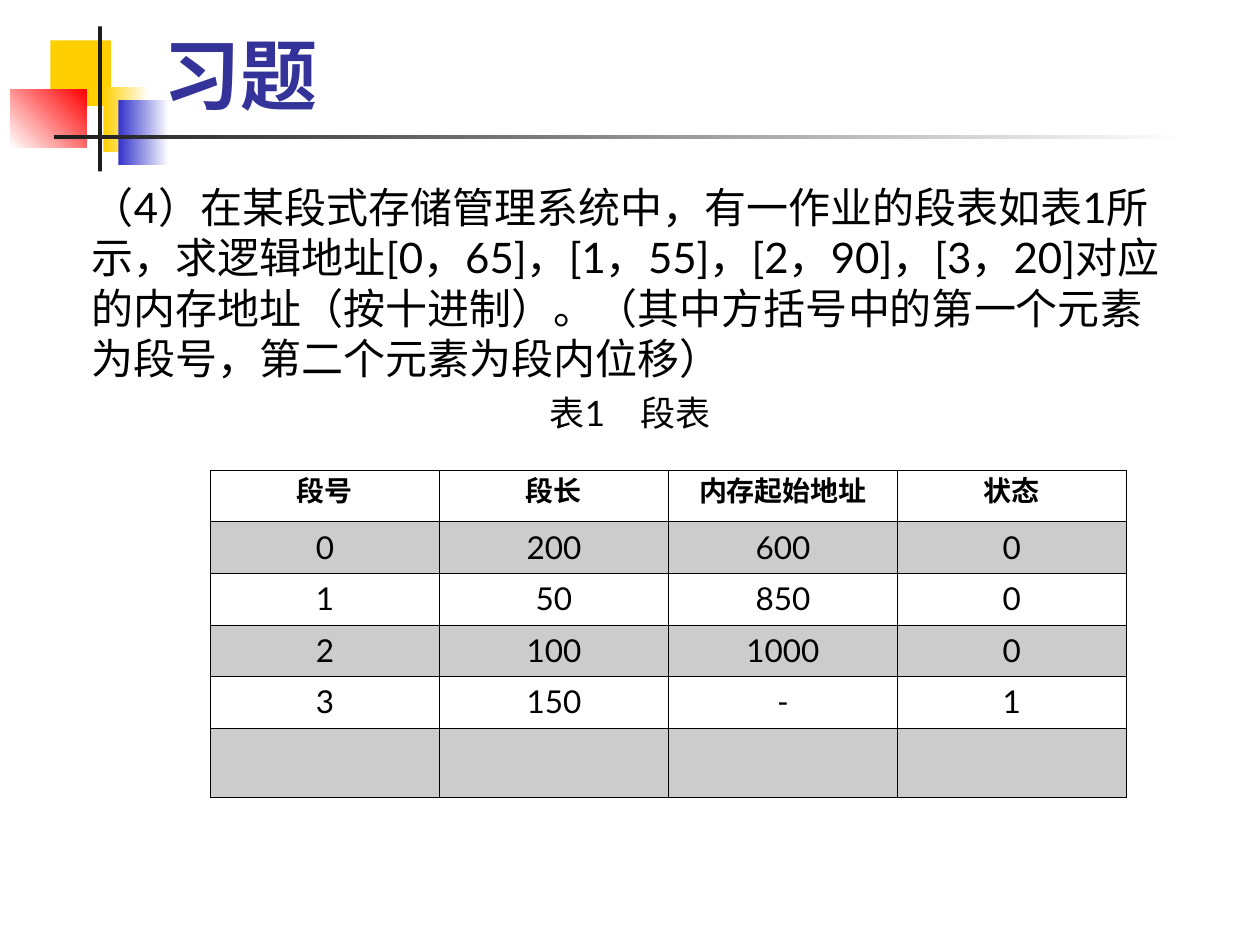
from dataclasses import dataclass
from typing import NamedTuple

from lxml.etree import SubElement
from pptx import Presentation
from pptx.dml.color import RGBColor
from pptx.enum.shapes import MSO_SHAPE
from pptx.enum.text import MSO_ANCHOR, MSO_AUTO_SIZE, PP_ALIGN
from pptx.oxml.ns import qn
from pptx.util import Inches, Pt


@dataclass(frozen=True)
class Theme:
    """Colours, fonts and type sizes of the slide."""

    gold: str = "FFCF01"
    blue: str = "3333CC"
    navy: str = "333399"
    red: str = "FF0000"
    dark: str = "1C1C1C"
    black: str = "000000"
    white: str = "FFFFFF"
    shade: int = 20
    sans: str = "Lato"
    serif: str = "Times New Roman"
    title: int = 44
    body: int = 24
    label: int = 20
    head: int = 16
    cell: int = 18
    rule: float = 0.45
    thick: float = 0.96


class Block(NamedTuple):
    """A decor block, plain or with a fade to a second colour."""

    left: float
    top: float
    width: float
    height: float
    start: str
    end: str = ""
    angle: int = 0


THEME = Theme()
BLOCKS = [
    Block(0.4, 0.32, 0.48, 0.52, THEME.gold),
    Block(0.82, 0.69, 0.36, 0.52, THEME.gold, THEME.white),
    Block(0.94, 0.79, 0.4, 0.52, THEME.blue, THEME.white),
    Block(0.08, 0.71, 0.61, 0.46, THEME.white, THEME.red, 45),
    Block(0.78, 0.21, 0.03, 1.15, THEME.dark),
    Block(0.43, 1.07, 9, 0.03, THEME.dark, THEME.white),
]
TASK = (
    "（4）在某段式存储管理系统中，有一作业的段表如表1所示，"
    "求逻辑地址[0，65]，[1，55]，[2，90]，[3，20]对应的内存地址（按十进制）。"
    "（其中方括号中的第一个元素为段号，第二个元素为段内位移）"
)
ROWS = [
    ("段号", "段长", "内存起始地址", "状态"),
    ("0", "200", "600", "0"),
    ("1", "50", "850", "0"),
    ("2", "100", "1000", "0"),
    ("3", "150", "-", "1"),
    ("", "", "", ""),
]


def place(shape, left: float, top: float, width: float, height: float) -> None:
    """Move and size a shape in inches."""
    shape.left, shape.top = Inches(left), Inches(top)
    shape.width, shape.height = Inches(width), Inches(height)


def style(para, size: int, tint: str, align, face: str = THEME.sans, bold: bool = False) -> None:
    """Format a paragraph and its runs."""
    para.alignment = align
    for run in para.runs:
        run.font.size, run.font.name, run.font.bold = Pt(size), face, bold
        run.font.color.rgb = RGBColor.from_string(tint)


def draw_block(slide, block: Block) -> None:
    """Draw one decor block."""
    shape = slide.shapes.add_shape(MSO_SHAPE.RECTANGLE, 0, 0, 0, 0)
    place(shape, *block[:4])
    shape.shadow.inherit = False
    shape.line.fill.background()
    if block.end:
        shape.fill.gradient()
        shape.fill.gradient_angle = block.angle
        for stop, tint in zip(shape.fill.gradient_stops, (block.start, block.end)):
            stop.color.rgb = RGBColor.from_string(tint)
    else:
        shape.fill.solid()
        shape.fill.fore_color.rgb = RGBColor.from_string(block.start)


def draw_title(slide) -> None:
    """Fill the title."""
    title = slide.shapes.title
    place(title, 1.2, 0.17, 8.52, 0.83)
    frame = title.text_frame
    frame.text = "习题"
    frame.auto_size = MSO_AUTO_SIZE.NONE
    frame.vertical_anchor = MSO_ANCHOR.BOTTOM
    style(frame.paragraphs[0], THEME.title, THEME.navy, PP_ALIGN.LEFT, bold=True)


def draw_body(slide) -> None:
    """Fill the body with the task and the table label."""
    body = slide.placeholders[1]
    place(body, 0.63, 1.39, 8.74, 5.95)
    frame = body.text_frame
    frame.auto_size = MSO_AUTO_SIZE.NONE
    task, label = frame.paragraphs[0], frame.add_paragraph()
    task.text, label.text = TASK, "表1　段表"
    for para in (task, label):
        props = para._p.get_or_add_pPr()
        props.set("marL", "0")
        props.set("indent", "0")
        SubElement(props, qn("a:buNone"))
    task.space_before, label.space_before = Pt(0), Pt(5)
    style(task, THEME.body, THEME.black, PP_ALIGN.LEFT)
    style(label, THEME.label, THEME.black, PP_ALIGN.CENTER)


def edge(cell, side: str, width: float) -> None:
    """Draw one border of a cell."""
    line = SubElement(cell._tc.get_or_add_tcPr(), qn(f"a:ln{side}"), w=str(Pt(width)))
    fill = SubElement(line, qn("a:solidFill"))
    SubElement(fill, qn("a:srgbClr"), val=THEME.black)


def draw_cell(cell, text: str, row: int) -> None:
    """Fill one cell by the rule of its row."""
    for side in "LRTB":
        thick = (row, side) in ((0, "B"), (1, "T"))
        edge(cell, side, THEME.thick if thick else THEME.rule)
    if row % 2:
        cell.fill.solid()
        cell.fill.fore_color.rgb = RGBColor.from_string(THEME.black)
        tint = cell._tc.tcPr.find(qn("a:solidFill")).find(qn("a:srgbClr"))
        SubElement(tint, qn("a:alpha"), val=str(THEME.shade * 1000))
    else:
        cell.fill.background()
    cell.text = text
    para = cell.text_frame.paragraphs[0]
    if row:
        style(para, THEME.cell, THEME.black, PP_ALIGN.CENTER)
    else:
        cell.vertical_anchor = MSO_ANCHOR.MIDDLE
        cell.margin_left = cell.margin_right = Inches(0.08)
        para.line_spacing = Pt(15.6)
        style(para, THEME.head, THEME.black, PP_ALIGN.CENTER, THEME.serif, True)


def draw_table(slide) -> None:
    """Draw the segment table."""
    frame = slide.shapes.add_table(
        len(ROWS), len(ROWS[0]), Inches(1.67), Inches(3.73), Inches(7.27), Inches(2.6)
    )
    table = frame.table
    table.first_row = table.horz_banding = False
    for row, texts in enumerate(ROWS):
        table.rows[row].height = Inches(0.41 if any(texts) else 0.55)
        for col, text in enumerate(texts):
            draw_cell(table.cell(row, col), text, row)


def main() -> None:
    """Build and save the slide."""
    deck = Presentation()
    deck.slide_width, deck.slide_height = Inches(10), Inches(7.5)
    slide = deck.slides.add_slide(deck.slide_layouts[1])
    for block in BLOCKS:
        draw_block(slide, block)
    draw_title(slide)
    draw_body(slide)
    draw_table(slide)
    deck.save("out.pptx")


if __name__ == "__main__":
    main()
